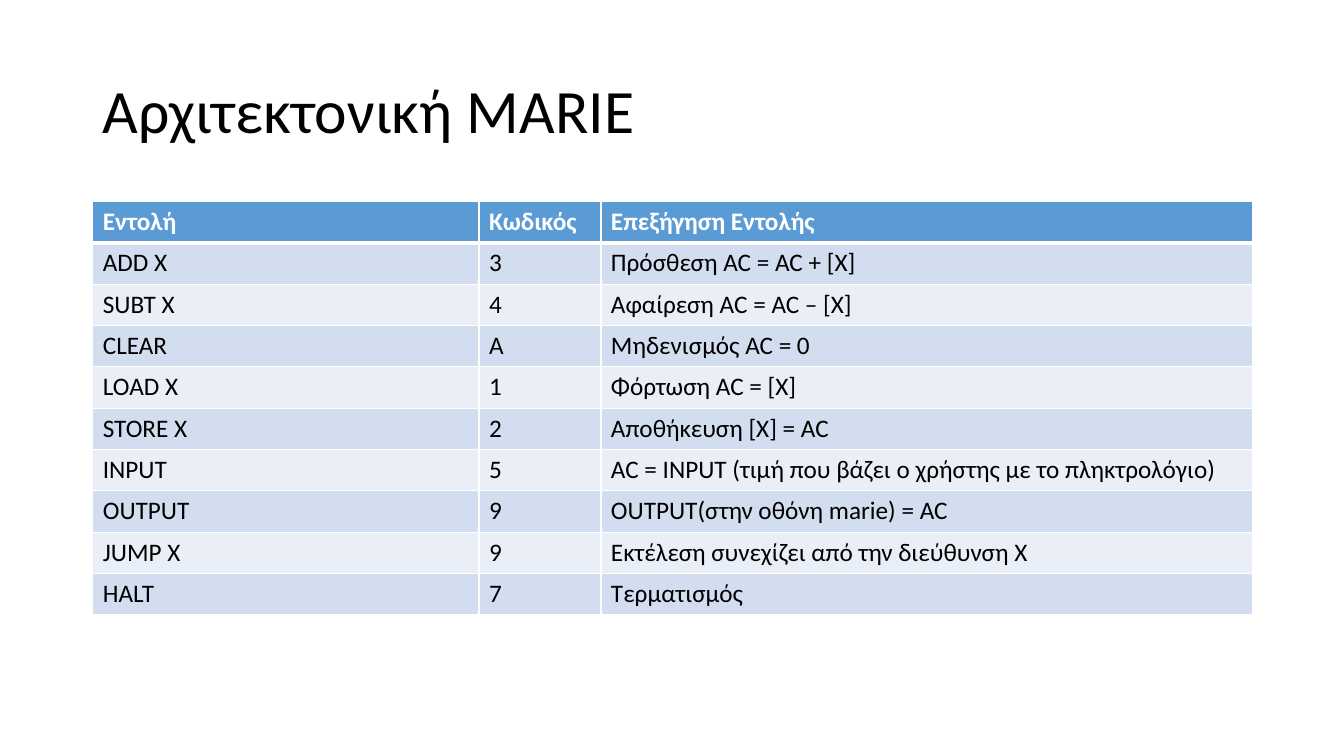
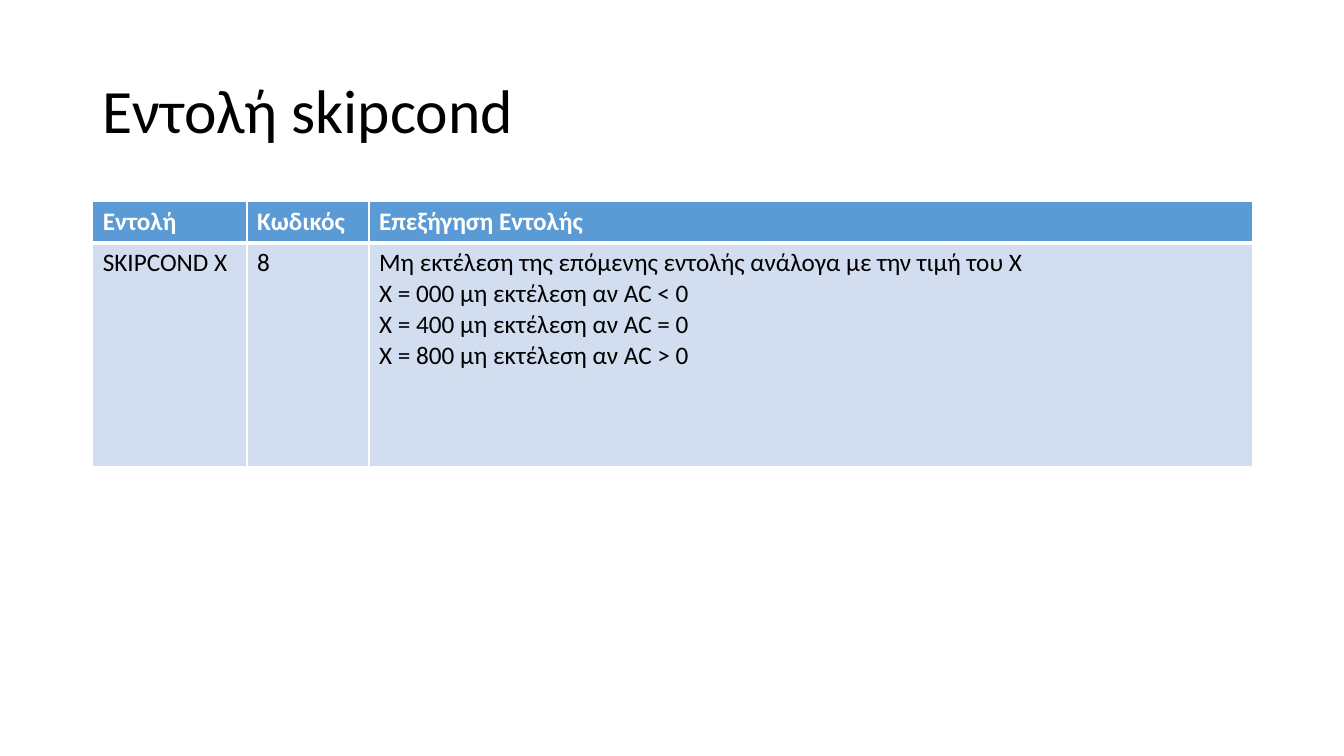
import dataclasses

import pptx
import pptx.dml.color
import pptx.enum.text
import pptx.oxml
import pptx.oxml.ns
import pptx.util


@dataclasses.dataclass(frozen=True)
class Theme:
    font: str = "Calibri"
    title_size: int = 44
    table_size: int = 18
    text: str = "000000"
    header_text: str = "FFFFFF"
    header_fill: str = "5B9BD5"
    band_fills: tuple = ("D2DEEF", "EAEFF7")
    border: str = "FFFFFF"
    thin: int = 1
    thick: int = 3


THEME = Theme()
SLIDE_WIDTH, SLIDE_HEIGHT = 13.33, 7.5
MARGIN = 0.92
CONTENT_WIDTH = 11.5
TITLE_TOP, TITLE_HEIGHT = 0.4, 1.45
TABLE_TOP = 2
ROW_HEIGHT = 0.41
CODE_WIDTH = 1.21

HEADER = ("Εντολή", "Κωδικός", "Επεξήγηση Εντολής")
INSTRUCTIONS = (
    ("ADD X", "3", "Πρόσθεση AC = AC + [X]"),
    ("SUBT X", "4", "Αφαίρεση AC = AC – [X]"),
    ("CLEAR", "A", "Μηδενισμός AC = 0"),
    ("LOAD X", "1", "Φόρτωση AC = [X]"),
    ("STORE X", "2", "Αποθήκευση [X] = AC"),
    ("INPUT", "5", "AC = INPUT (τιμή που βάζει ο χρήστης με το πληκτρολόγιο)"),
    ("OUTPUT", "9", "OUTPUT(στην οθόνη marie) = AC"),
    ("JUMP X", "9", "Εκτέλεση συνεχίζει από την διεύθυνση Χ"),
    ("HALT", "7", "Τερματισμός"),
)
SKIPCOND = (
    ("SKIPCOND X", "8", "\n".join((
        "Μη εκτέλεση της επόμενης εντολής ανάλογα με την τιμή του Χ",
        "Χ = 000 μη εκτέλεση αν AC < 0",
        "X = 400 μη εκτέλεση αν AC = 0",
        "X = 800 μη εκτέλεση αν AC > 0",
    ))),
)


def rgb(value):
    return pptx.dml.color.RGBColor.from_string(value)


def set_font(paragraph, size, color, bold=False):
    paragraph.font.name = THEME.font
    paragraph.font.size = pptx.util.Pt(size)
    paragraph.font.bold = bold
    paragraph.font.color.rgb = rgb(color)


def add_titled_page(deck, text):
    page = deck.slides.add_slide(deck.slide_layouts.get_by_name("Title Only"))
    title = page.shapes.title
    title.left, title.top, title.width, title.height = map(
        pptx.util.Inches, (MARGIN, TITLE_TOP, CONTENT_WIDTH, TITLE_HEIGHT))
    frame = title.text_frame
    frame.text = text
    frame.auto_size = pptx.enum.text.MSO_AUTO_SIZE.NONE
    frame.vertical_anchor = pptx.enum.text.MSO_ANCHOR.MIDDLE
    para = frame.paragraphs[0]
    para.alignment = pptx.enum.text.PP_ALIGN.LEFT
    para.line_spacing = 0.9
    set_font(para, THEME.title_size, THEME.text)
    return page


def set_borders(cell, top, bottom):
    """Draw thin sides, with the given point widths above and below."""
    properties = cell._tc.get_or_add_tcPr()
    widths = {"lnL": THEME.thin, "lnR": THEME.thin, "lnT": top, "lnB": bottom}
    for side, width in widths.items():
        properties.append(pptx.oxml.parse_xml(
            f'<a:{side} {pptx.oxml.ns.nsdecls("a")} w="{pptx.util.Pt(width)}">'
            f'<a:solidFill><a:srgbClr val="{THEME.border}"/></a:solidFill>'
            f'</a:{side}>'))


def format_cell(cell, text, row):
    is_header = row == 0
    set_borders(cell,
                top=THEME.thick if row == 1 else THEME.thin,
                bottom=THEME.thick if is_header else THEME.thin)
    cell.fill.solid()
    cell.fill.fore_color.rgb = rgb(
        THEME.header_fill if is_header else THEME.band_fills[(row - 1) % 2])
    cell.text = text
    for para in cell.text_frame.paragraphs:
        set_font(para, THEME.table_size,
                 THEME.header_text if is_header else THEME.text, is_header)


def add_instruction_table(page, instructions, name_width, body_height=ROW_HEIGHT):
    rows = (HEADER, *instructions)
    widths = (name_width, CODE_WIDTH, CONTENT_WIDTH - name_width - CODE_WIDTH)
    heights = (ROW_HEIGHT, *[body_height] * len(instructions))
    table = page.shapes.add_table(len(rows), len(widths), *map(
        pptx.util.Inches, (MARGIN, TABLE_TOP, CONTENT_WIDTH, sum(heights)))).table
    for column, width in zip(table.columns, widths):
        column.width = pptx.util.Inches(width)
    for index, (row, height, texts) in enumerate(zip(table.rows, heights, rows)):
        row.height = pptx.util.Inches(height)
        for cell, text in zip(row.cells, texts):
            format_cell(cell, text, index)


def main():
    deck = pptx.Presentation()
    deck.slide_width = pptx.util.Inches(SLIDE_WIDTH)
    deck.slide_height = pptx.util.Inches(SLIDE_HEIGHT)

    page = add_titled_page(deck, "Αρχιτεκτονική MARIE")
    add_instruction_table(page, INSTRUCTIONS, name_width=3.83)

    page = add_titled_page(deck, "Εντολή skipcond")
    add_instruction_table(page, SKIPCOND, name_width=1.53, body_height=2.22)

    deck.save("out.pptx")


if __name__ == "__main__":
    main()
